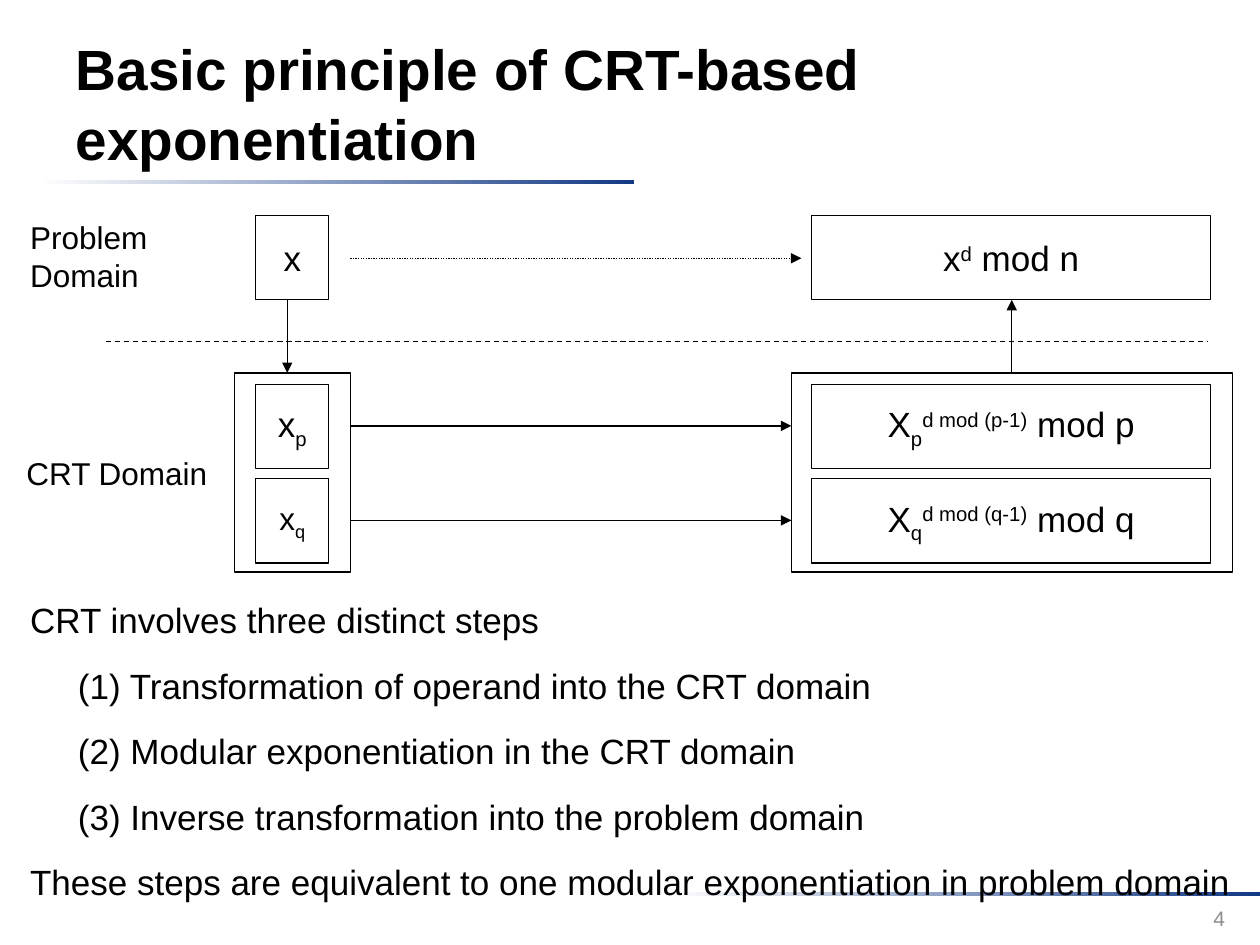
from dataclasses import dataclass
from lxml.etree import SubElement
from pptx import Presentation
from pptx.dml.color import RGBColor
from pptx.enum.dml import MSO_LINE
from pptx.enum.shapes import MSO_CONNECTOR, MSO_SHAPE
from pptx.enum.text import MSO_ANCHOR, MSO_AUTO_SIZE, PP_ALIGN
from pptx.oxml.ns import qn
from pptx.util import Inches, Pt


@dataclass(frozen=True)
class Theme:
    font: str = "Arial"
    ink: RGBColor = RGBColor(0, 0, 0)
    paper: RGBColor = RGBColor(255, 255, 255)
    accent: RGBColor = RGBColor(0x13, 0x39, 0x84)
    muted: RGBColor = RGBColor(0x8C, 0x8C, 0x8C)
    title: float = 32.4
    body: float = 20
    label: float = 18
    number: float = 12
    line: float = 0.75


SUB, SUPER = -25, 30


class Deck:
    def __init__(self, theme):
        self.t = theme
        self.prs = Presentation()
        self.prs.slide_width, self.prs.slide_height = Inches(10), Inches(7.5)
        self.s = self.prs.slides.add_slide(self.prs.slide_layouts[5])

    def run(self, p, text, size, color=None, bold=False, base=0):
        r = p.add_run()
        r.text = text
        f = r.font
        f.name, f.size, f.bold = self.t.font, Pt(size), bold
        f.color.rgb = color or self.t.ink
        if base:
            r._r.get_or_add_rPr().set("baseline", str(base * 1000))

    def title(self, text, *at):
        sp = self.s.shapes.title
        sp.left, sp.top, sp.width, sp.height = map(Inches, at)
        tf = sp.text_frame
        tf.auto_size, tf.word_wrap = MSO_AUTO_SIZE.NONE, True
        tf.vertical_anchor = MSO_ANCHOR.MIDDLE
        p = tf.paragraphs[0]
        p.alignment, p.line_spacing = PP_ALIGN.LEFT, 1.04
        self.run(p, text, self.t.title, bold=True)

    def rule(self, *at):
        sp = self.s.shapes.add_shape(MSO_SHAPE.RECTANGLE, *map(Inches, at))
        sp.shadow.inherit = False
        sp.line.fill.background()
        sp.fill.gradient()
        sp.fill.gradient_angle = 0
        stops = sp.fill.gradient_stops
        for stop, pos, color in zip(stops, (0, 1), (self.t.paper, self.t.accent)):
            stop.position, stop.color.rgb = pos, color

    def box(self, at, parts=(), size=None):
        sp = self.s.shapes.add_shape(MSO_SHAPE.RECTANGLE, *map(Inches, at))
        sp.shadow.inherit = False
        sp.fill.background()
        sp.line.color.rgb, sp.line.width = self.t.ink, Pt(self.t.line)
        tf = sp.text_frame
        tf.word_wrap, tf.vertical_anchor = False, MSO_ANCHOR.MIDDLE
        p = tf.paragraphs[0]
        p.alignment = PP_ALIGN.CENTER
        for text, base in parts:
            self.run(p, text, size or self.t.body, base=base)

    def line(self, x1, y1, x2, y2, dash=None, arrow=True):
        c = self.s.shapes.add_connector(
            MSO_CONNECTOR.STRAIGHT, *map(Inches, (x1, y1, x2, y2)))
        c.line.color.rgb, c.line.width = self.t.ink, Pt(self.t.line)
        if dash:
            c.line.dash_style = dash
        if arrow:
            SubElement(c.line._get_or_add_ln(), qn("a:tailEnd"), type="triangle")
        SubElement(c._element.spPr, qn("a:effectLst"))

    def frame(self, at, wrap=True, inset=True):
        tf = self.s.shapes.add_textbox(*map(Inches, at)).text_frame
        tf.word_wrap = wrap
        if not inset:
            tf.margin_left = tf.margin_right = tf.margin_top = tf.margin_bottom = 0
        return tf

    def label(self, lines, *at):
        p = self.frame(at, wrap=False, inset=False).paragraphs[0]
        for i, text in enumerate(lines):
            if i:
                p.add_line_break()
            self.run(p, text, self.t.label)

    def body(self, items, *at):
        tf = self.frame(at)
        for i, (text, indent) in enumerate(items):
            p = tf.add_paragraph() if i else tf.paragraphs[0]
            p.space_before = Pt(7.5 if i else 2.5)
            p.line_spacing = 1.25 if i else 1.0
            p._p.get_or_add_pPr().set("marL", str(Inches(indent)))
            self.run(p, text, self.t.body)

    def number(self, text, *at):
        tf = self.frame(at)
        tf.vertical_anchor = MSO_ANCHOR.MIDDLE
        p = tf.paragraphs[0]
        p.alignment = PP_ALIGN.RIGHT
        self.run(p, text, self.t.number, self.t.muted)


deck = Deck(Theme())
for x, y in ((0.31, 1.43), (5.28, 7.08)):
    deck.rule(x, y, 4.72, 0.03)
deck.title("Basic principle of CRT-based exponentiation", 0.5, 0.18, 7.73, 1.25)

left, right = (2.03, 0.58), (6.44, 3.17)
top, height = 1.71, 0.67
crt_top, crt_height = 2.96, 1.58
left_edge, right_edge = 2.78, 6.28
deck.box((1.86, crt_top, left_edge - 1.86, crt_height))
deck.box((right_edge, crt_top, 3.5, crt_height))
deck.box((left[0], top, left[1], height), [("x", 0)])
deck.box((right[0], top, right[1], height), [("x", 0), ("d", SUPER), (" mod n", 0)])
for prime, y, size in (("p", 3.05, 20), ("q", 3.8, 18)):
    deck.box((left[0], y, left[1], height), [("x", 0), (prime, SUB)], size)
    deck.box((right[0], y, right[1], height),
             [("X", 0), (prime, SUB), (f"d mod ({prime}-1)", SUPER), (f" mod {prime}", 0)])
    deck.line(left_edge, y + 0.33, right_edge, y + 0.33)

deck.line(2.28, top + height, 2.28, crt_top)
deck.line(8.03, crt_top, 8.03, top + height)
deck.line(left_edge, 2.05, 6.36, 2.05, MSO_LINE.ROUND_DOT)
deck.line(0.84, 2.71, 9.59, 2.71, MSO_LINE.DASH, arrow=False)
deck.label(["Problem", "Domain"], 0.24, 1.73, 0.94, 0.61)
deck.label(["CRT Domain"], 0.21, 3.6, 1.44, 0.3)

deck.body([
    ("CRT involves three distinct steps", 0),
    ("(1) Transformation of operand into the CRT domain", 0.38),
    ("(2) Modular exponentiation in the CRT domain", 0.38),
    ("(3) Inverse transformation into the problem domain", 0.38),
    ("These steps are equivalent to one modular exponentiation in problem domain", 0),
], 0.14, 4.7, 9.76, 2.27)
deck.number("4", 7.49, 7.09, 2.33, 0.4)
deck.prs.save("out.pptx")
